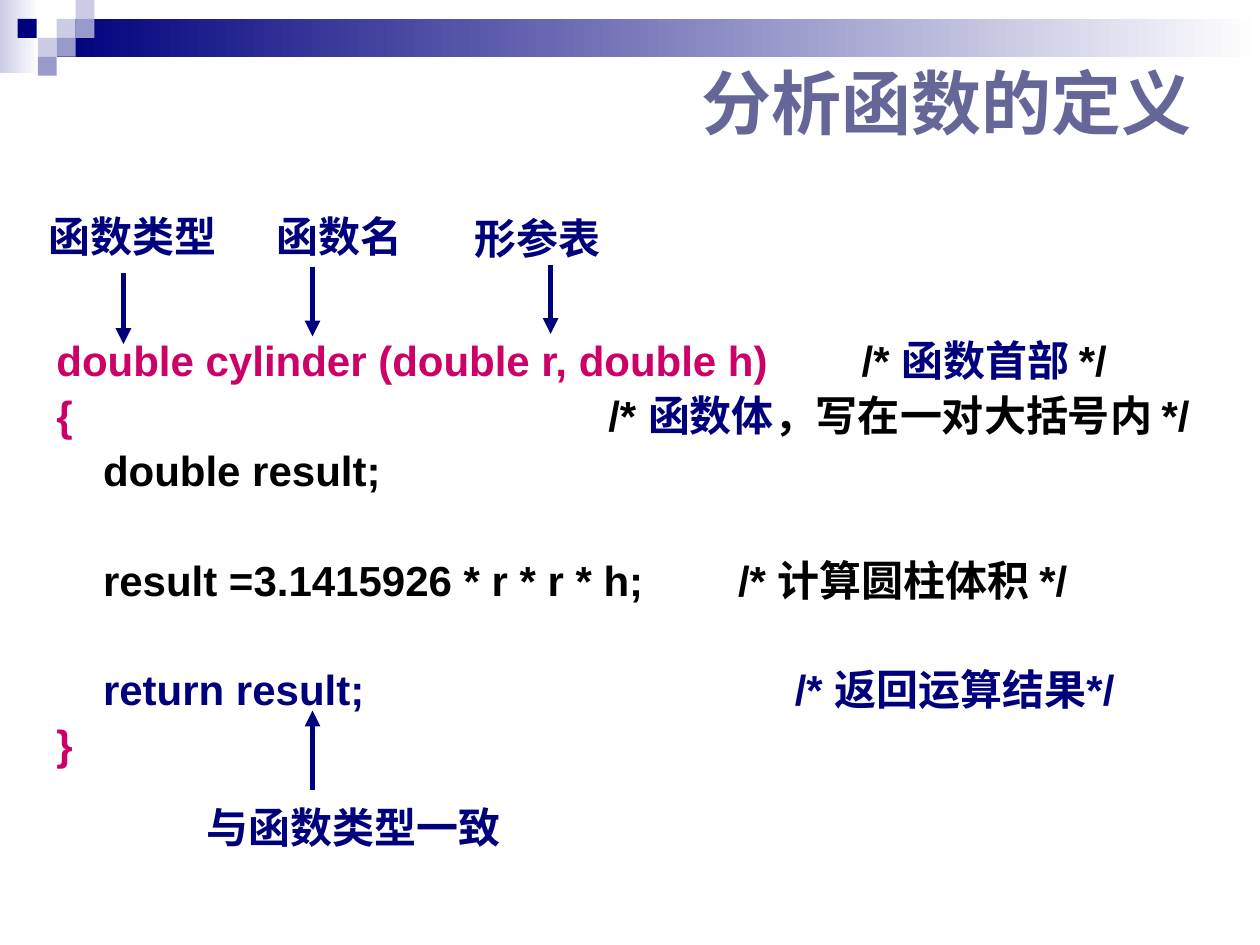
from typing import NamedTuple

from lxml.etree import SubElement
from pptx import Presentation
from pptx.dml.color import RGBColor
from pptx.enum.shapes import MSO_CONNECTOR, MSO_SHAPE
from pptx.enum.text import MSO_ANCHOR, PP_ALIGN
from pptx.oxml.ns import qn
from pptx.util import Inches, Pt

COLORS = {
    "navy": "00007D", "lavender": "CCCCE6", "violet": "9999CC",
    "title": "666699", "code": "CC0066", "black": "000000", "white": "FFFFFF",
}
FONT = "Arial"
SQUARE = 0.15
LINE_PITCH = 30.7  # points from one code line to the next
LINE_GAP = 5.7  # points between neighbouring code lines


class Band(NamedTuple):
    left: float
    top: float
    width: float
    height: float
    start: str


class Square(NamedTuple):
    left: float
    top: float
    color: str


class Label(NamedTuple):
    text: str
    left: float
    top: float
    width: float


class Arrow(NamedTuple):
    x: float
    start: float
    end: float


class CodeLine(NamedTuple):
    runs: list[tuple[str, str]]
    comment_tab: float = 0
    skipped_lines: int = 0


BANDS = [Band(0, 0, 0.31, 0.58, "lavender"), Band(0.45, 0.15, 9.55, 0.3, "navy")]
SQUARES = [
    Square(0.45, 0.15, "lavender"), Square(0.6, 0, "lavender"),
    Square(0.6, 0.15, "violet"), Square(0.3, 0.3, "lavender"),
    Square(0.14, 0.15, "navy"), Square(0.45, 0.3, "violet"),
    Square(0.3, 0.45, "violet"),
]
LABELS = [
    Label("函数类型", 0.28, 1.62, 1.54), Label("函数名", 2.09, 1.62, 1.21),
    Label("形参表", 3.66, 1.64, 1.21), Label("与函数类型一致", 1.53, 6.31, 2.55),
]
ARROWS = [
    Arrow(0.98, 2.17, 2.73), Arrow(2.48, 2.12, 2.67),
    Arrow(4.37, 2.1, 2.65), Arrow(2.48, 6.27, 5.64),
]
CODE = [
    CodeLine([("double cylinder (double r, double h)", "code"), ("\t/* ", "black"),
              ("函数首部 ", "navy"), ("*/", "black")], 6.39),
    CodeLine([("{", "code"), ("\t/* ", "black"), ("函数体", "navy"),
              ("，写在一对大括号内 */", "black")], 4.38),
    CodeLine([("    double result;", "black")]),
    CodeLine([("    result =3.1415926 * r * r * h;\t/* 计算圆柱体积 */", "black")], 5.41, 1),
    CodeLine([("    return result;\t/* 返回运算结果*/", "navy")], 5.86, 1),
    CodeLine([("}", "code")]),
]


def rgb(name: str) -> RGBColor:
    return RGBColor.from_string(COLORS[name])


def add_rectangle(slide, left: float, top: float, width: float, height: float):
    shape = slide.shapes.add_shape(
        MSO_SHAPE.RECTANGLE, Inches(left), Inches(top), Inches(width), Inches(height))
    shape.shadow.inherit = False
    shape.line.fill.background()
    return shape


def add_band(slide, band: Band) -> None:
    fill = add_rectangle(slide, band.left, band.top, band.width, band.height).fill
    fill.gradient()
    fill.gradient_angle = 0
    for stop, color, position in zip(fill.gradient_stops, (band.start, "white"), (0, 1)):
        stop.color.rgb = rgb(color)
        stop.position = position


def add_square(slide, square: Square) -> None:
    fill = add_rectangle(slide, square.left, square.top, SQUARE, SQUARE).fill
    fill.solid()
    fill.fore_color.rgb = rgb(square.color)


def add_run(paragraph, text: str, *, size: float = 24, color: str = "navy") -> None:
    run = paragraph.add_run()
    run.text = text
    run.font.name = FONT
    run.font.size = Pt(size)
    run.font.bold = True
    run.font.color.rgb = rgb(color)


def add_text(slide, text: str, left: float, top: float, width: float, height: float, *,
             size: float = 24, color: str = "navy", align=PP_ALIGN.LEFT,
             anchor=MSO_ANCHOR.TOP, wrap: bool = True):
    box = slide.shapes.add_textbox(Inches(left), Inches(top), Inches(width), Inches(height))
    frame = box.text_frame
    frame.word_wrap = wrap
    frame.vertical_anchor = anchor
    frame.paragraphs[0].alignment = align
    if text:
        add_run(frame.paragraphs[0], text, size=size, color=color)
    return frame


def add_tab(paragraph, position: float) -> None:
    tabs = SubElement(paragraph._p.get_or_add_pPr(), qn("a:tabLst"))
    SubElement(tabs, qn("a:tab"), pos=str(Inches(position)), algn="l")


def add_code(slide, lines: list[CodeLine]) -> None:
    frame = add_text(slide, "", 0.35, 2.65, 9.37, 4.17)
    frame.margin_right = 0
    for index, line in enumerate(lines):
        paragraph = frame.add_paragraph() if index else frame.paragraphs[0]
        paragraph.line_spacing = 0.9
        if index:
            paragraph.space_before = Pt(LINE_GAP + line.skipped_lines * LINE_PITCH)
        if line.comment_tab:
            add_tab(paragraph, line.comment_tab)
        for text, color in line.runs:
            add_run(paragraph, text, color=color)


def add_arrow(slide, arrow: Arrow) -> None:
    connector = slide.shapes.add_connector(
        MSO_CONNECTOR.STRAIGHT, Inches(arrow.x), Inches(arrow.start),
        Inches(arrow.x), Inches(arrow.end))
    connector.line.color.rgb = rgb("navy")
    connector.line.width = Pt(3)
    SubElement(connector.line._get_or_add_ln(), qn("a:tailEnd"), type="triangle")
    SubElement(connector._element.spPr, qn("a:effectLst"))


def main() -> None:
    presentation = Presentation()
    presentation.slide_width = Inches(10)
    presentation.slide_height = Inches(7.5)
    slide = presentation.slides.add_slide(presentation.slide_layouts[6])

    # Header decoration
    for band in BANDS:
        add_band(slide, band)
    for square in SQUARES:
        add_square(slide, square)

    # Title and code
    add_text(slide, "分析函数的定义", 5.47, 0.28, 4.33, 1.05,
             size=40, color="title", anchor=MSO_ANCHOR.MIDDLE)
    add_code(slide, CODE)

    # Callouts
    for label in LABELS:
        add_text(slide, label.text, label.left, label.top, label.width, 0.5,
                 align=PP_ALIGN.CENTER, wrap=False)
    for arrow in ARROWS:
        add_arrow(slide, arrow)

    presentation.save("out.pptx")


if __name__ == "__main__":
    main()
